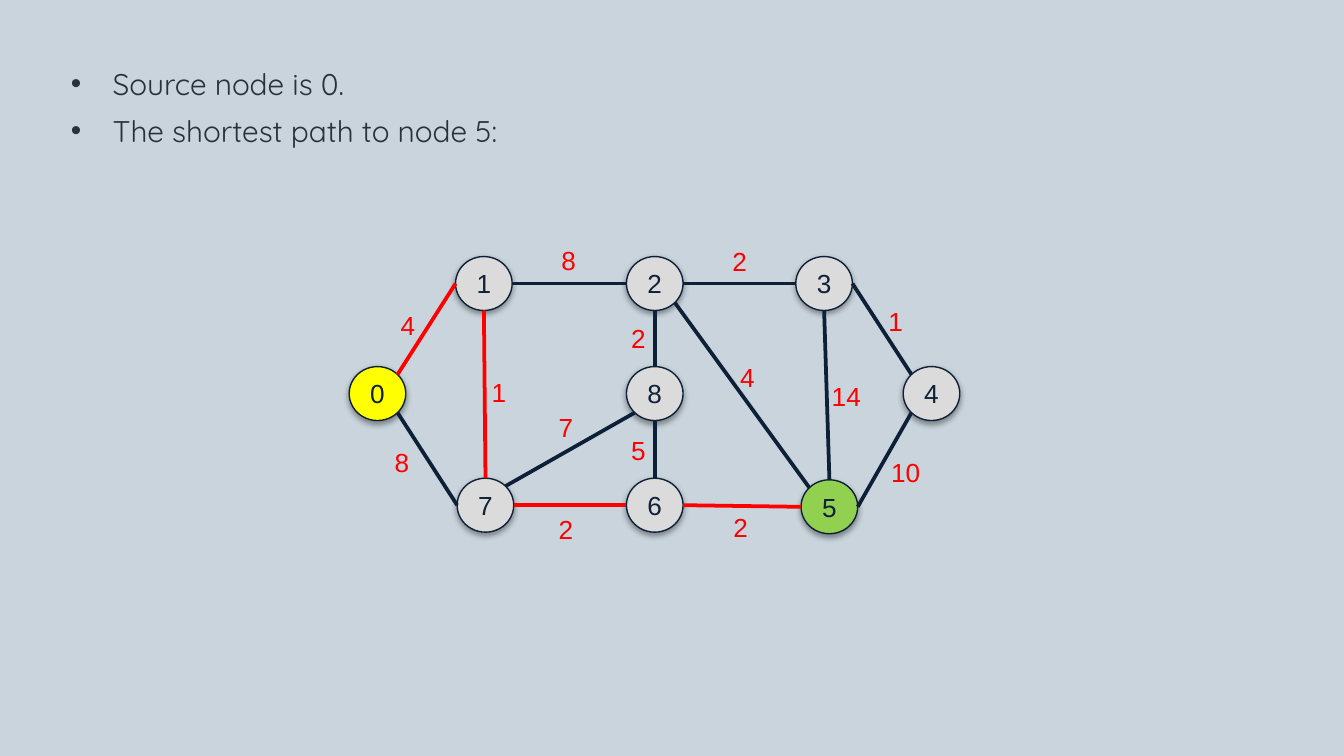
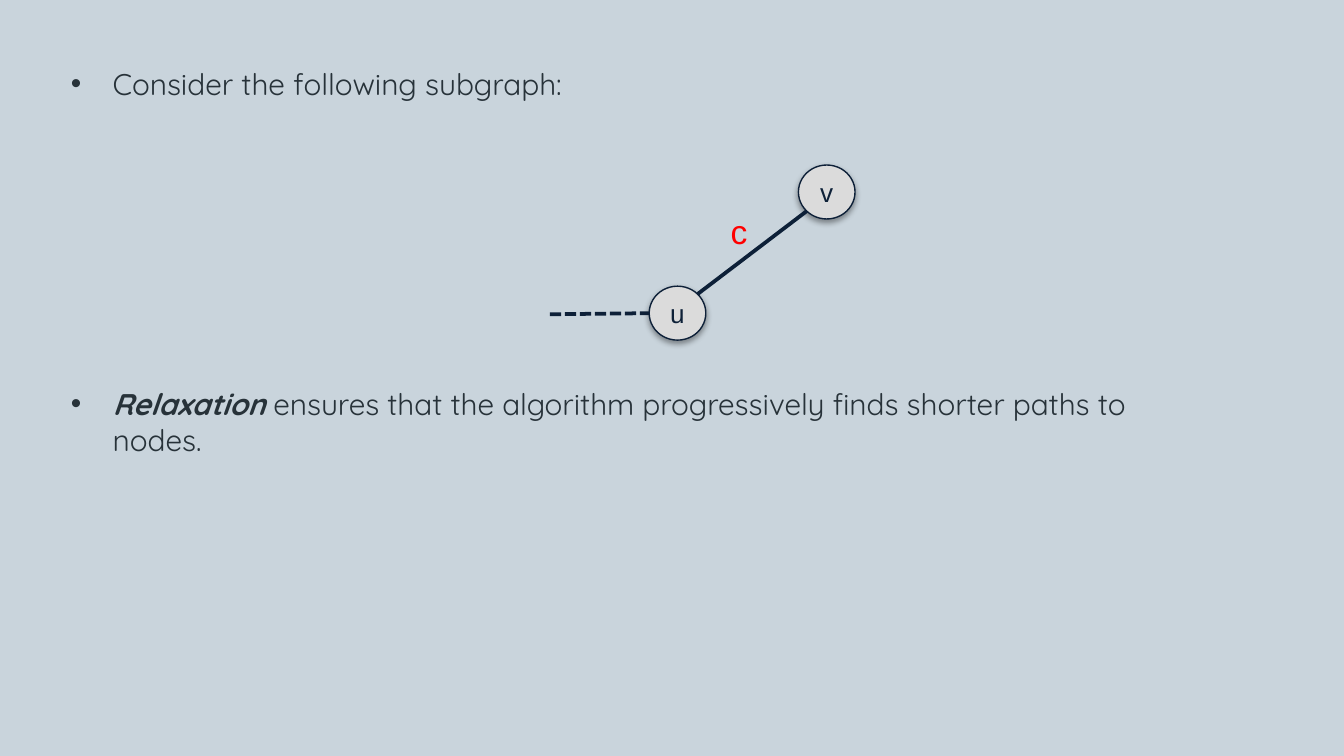
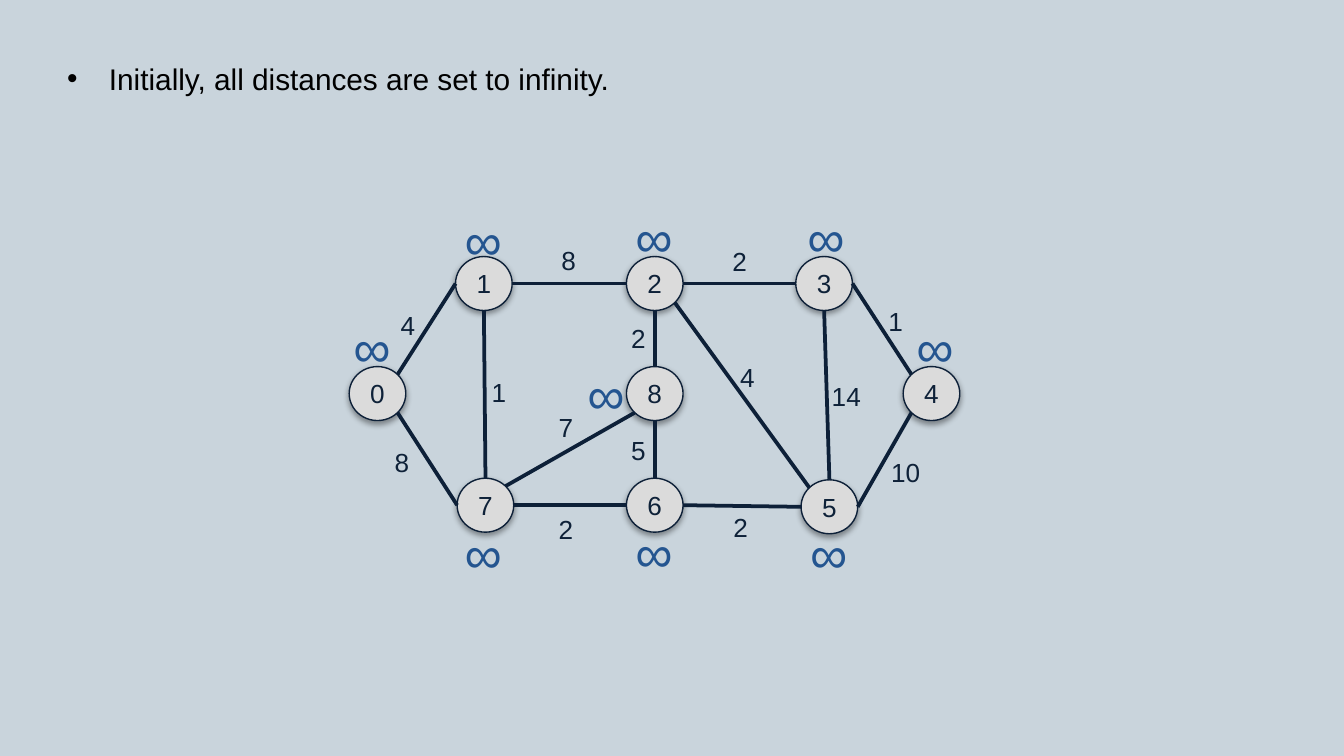
import math

from lxml import etree
from pptx import Presentation
from pptx import util as u
from pptx.dml.color import RGBColor
from pptx.enum import dml, shapes, text
from pptx.oxml.ns import qn

BACKGROUND = RGBColor(0xC9, 0xD4, 0xDC)
NAVY = RGBColor(0x0D, 0x20, 0x38)
INK = RGBColor(0x0E, 0x21, 0x38)
BODY = RGBColor(0x27, 0x32, 0x39)
BLACK = RGBColor(0, 0, 0)
GREY = RGBColor(0xDB, 0xDB, 0xDB)
YELLOW = RGBColor(0xFF, 0xFF, 0)
GREEN = RGBColor(0x92, 0xD0, 0x50)
RED = RGBColor(0xFF, 0, 0)
BLUE = RGBColor(0x24, 0x55, 0x90)

NODE_W, NODE_H = 1.07, 1.02
ANGLES = {"E": 0, "SE": 45, "S": 90, "SW": 135, "W": 180, "NW": 225, "N": 270, "NE": 315}

NODES = {
    "0": (6.6, 6.93), "1": (8.61, 4.85), "2": (11.84, 4.85),
    "3": (15.04, 4.85), "4": (17.07, 6.93), "5": (15.14, 9.07),
    "6": (11.84, 9.04), "7": (8.64, 9.04), "8": (11.84, 6.93),
}
EDGES = [
    ("0", "NE", "1", "W", "4", 7.32, 5.72),
    ("0", "SE", "7", "W", "8", 7.21, 8.31),
    ("1", "S", "7", "N", "1", 9.04, 6.99),
    ("2", "W", "1", "E", "8", 10.36, 4.5),
    ("8", "SW", "7", "NE", "7", 10.31, 7.65),
    ("6", "W", "7", "E", "2", 10.31, 9.58),
    ("2", "S", "8", "N", "2", 11.68, 5.97),
    ("8", "S", "6", "N", "5", 11.68, 8.08),
    ("2", "E", "3", "W", "2", 13.59, 4.52),
    ("2", "SE", "5", "NW", "4", 13.74, 6.71),
    ("6", "E", "5", "W", "2", 13.61, 9.55),
    ("3", "S", "5", "N", "14", 15.47, 7.06),
    ("3", "E", "4", "NW", "1", 16.54, 5.64),
    ("5", "E", "4", "SW", "10", 16.59, 8.51),
]
SHORTEST_PATH = {("0", "1"), ("1", "7"), ("6", "7"), ("6", "5")}
DISTANCES = [
    (11.76, 3.76), (15.01, 3.76), (8.53, 3.81), (6.43, 5.84), (17.07, 5.84),
    (8.53, 9.73), (11.76, 9.7), (15.06, 9.73), (10.85, 6.73),
]


def site(node, direction):
    left, top = node
    angle = math.radians(ANGLES[direction])
    return (left + NODE_W / 2 * (1 + math.cos(angle)),
            top + NODE_H / 2 * (1 + math.sin(angle)))


class GraphDeck:
    def __init__(self):
        self.prs = Presentation()
        self.prs.slide_width = u.Cm(25.4)
        self.prs.slide_height = u.Cm(14.29)
        fill = self.prs.slide_master.background.fill
        fill.solid()
        fill.fore_color.rgb = BACKGROUND
        self.s = None

    def slide(self):
        self.s = self.prs.slides.add_slide(self.prs.slide_layouts[6])

    def run(self, p, words, size, color, font="Arial", strong=False):
        r = p.add_run()
        r.text = words
        r.font.size = u.Pt(size)
        r.font.name = font
        r.font.color.rgb = color
        if strong:
            r.font.bold = r.font.italic = True

    def box(self, left, top, width, height, wrap=False):
        sp = self.s.shapes.add_textbox(u.Cm(left), u.Cm(top), u.Cm(width), u.Cm(height))
        tf = sp.text_frame
        tf.word_wrap = wrap
        tf.auto_size = text.MSO_AUTO_SIZE.SHAPE_TO_FIT_TEXT
        return tf

    def label(self, words, left, top, width, height, size=14, color=INK):
        p = self.box(left, top, width, height).paragraphs[0]
        self.run(p, words, size, color)

    def bullets(self, items, left, top, width, height, wrap=True, font="Quicksand", color=BODY):
        tf = self.box(left, top, width, height, wrap)
        for i, runs in enumerate(items):
            p = tf.add_paragraph() if i else tf.paragraphs[0]
            p.space_after = u.Pt(6 if i == 0 else 0)
            pPr = p._p.get_or_add_pPr()
            pPr.set("marL", str(u.Cm(0.79)))
            pPr.set("indent", str(-u.Cm(0.79)))
            etree.SubElement(pPr, qn("a:buFont"), typeface="Arial")
            etree.SubElement(pPr, qn("a:buChar"), char="•")
            for words, strong in runs:
                self.run(p, words, 16, color, font, strong)

    def node(self, name, place, color=GREY):
        left, top = place
        sp = self.s.shapes.add_shape(shapes.MSO_SHAPE.OVAL, u.Cm(left), u.Cm(top),
                                     u.Cm(NODE_W), u.Cm(NODE_H))
        sp.fill.solid()
        sp.fill.fore_color.rgb = color
        sp.line.color.rgb = NAVY
        sp.line.width = u.Pt(0.75)
        self.soft_shadow(sp)
        tf = sp.text_frame
        tf.margin_left = tf.margin_right = tf.margin_top = tf.margin_bottom = 0
        tf.vertical_anchor = text.MSO_ANCHOR.MIDDLE
        p = tf.paragraphs[0]
        p.alignment = text.PP_ALIGN.CENTER
        self.run(p, name, 14, INK)

    def soft_shadow(self, sp):
        sp.shadow.inherit = False
        effects = sp._element.spPr.find(qn("a:effectLst"))
        shadow = etree.SubElement(effects, qn("a:outerShdw"), blurRad="40000", dist="20000",
                                  dir="5400000", rotWithShape="0")
        black = etree.SubElement(shadow, qn("a:srgbClr"), val="000000")
        etree.SubElement(black, qn("a:alpha"), val="38000")

    def edge(self, start, end, color=NAVY, dash=None):
        line = self.s.shapes.add_connector(shapes.MSO_CONNECTOR.STRAIGHT,
                                           *(u.Cm(v) for v in (*start, *end)))
        line.line.color.rgb = color
        line.line.width = u.Pt(2)
        if dash:
            line.line.dash_style = dash
        etree.SubElement(line._element.spPr, qn("a:effectLst"))

    def graph(self, weight_color=INK, fills=None, path=()):
        fills = fills or {}
        for name, place in NODES.items():
            self.node(name, place, fills.get(name, GREY))
        for a, from_side, b, to_side, *_ in EDGES:
            self.edge(site(NODES[a], from_side), site(NODES[b], to_side),
                      RED if (a, b) in path else NAVY)
        for *_, weight, left, top in EDGES:
            self.label(weight, left, top, 0.79 if len(weight) == 1 else 1.07, 0.86,
                       color=weight_color)


def main():
    deck = GraphDeck()

    deck.slide()
    deck.graph(RED, {"0": YELLOW, "5": GREEN}, SHORTEST_PATH)
    deck.bullets([[("Source node is 0.", False)], [("The shortest path to node 5:", False)]],
                 1.09, 1.12, 20.14, 1.83)

    deck.slide()
    u_node, v_node = (12.27, 5.41), (15.09, 3.12)
    deck.node("u", u_node)
    deck.node("v", v_node)
    deck.edge((10.39, 5.94), site(u_node, "W"), dash=dml.MSO_LINE.SQUARE_DOT)
    deck.edge(site(v_node, "SW"), site(u_node, "NE"))
    deck.label("c", 13.56, 3.86, 0.84, 1.02, 18, RED)
    deck.bullets([[("Consider the following subgraph:", False)]], 1.09, 1.12, 20.14, 0.94)
    deck.bullets([[("Relaxation", True),
                   (" ensures that the algorithm progressively finds shorter paths to nodes.",
                    False)]], 1.09, 7.16, 22.23, 0.94)

    deck.slide()
    deck.bullets([[("Initially, all distances are set to infinity.", False)]],
                 1.02, 1.02, 10.97, 0.94, wrap=False, font="Arial", color=BLACK)
    deck.graph()
    for left, top in DISTANCES:
        deck.label("∞", left, top, 1.22, 1.45, 28, BLUE)

    deck.prs.save("out.pptx")


if __name__ == "__main__":
    main()
